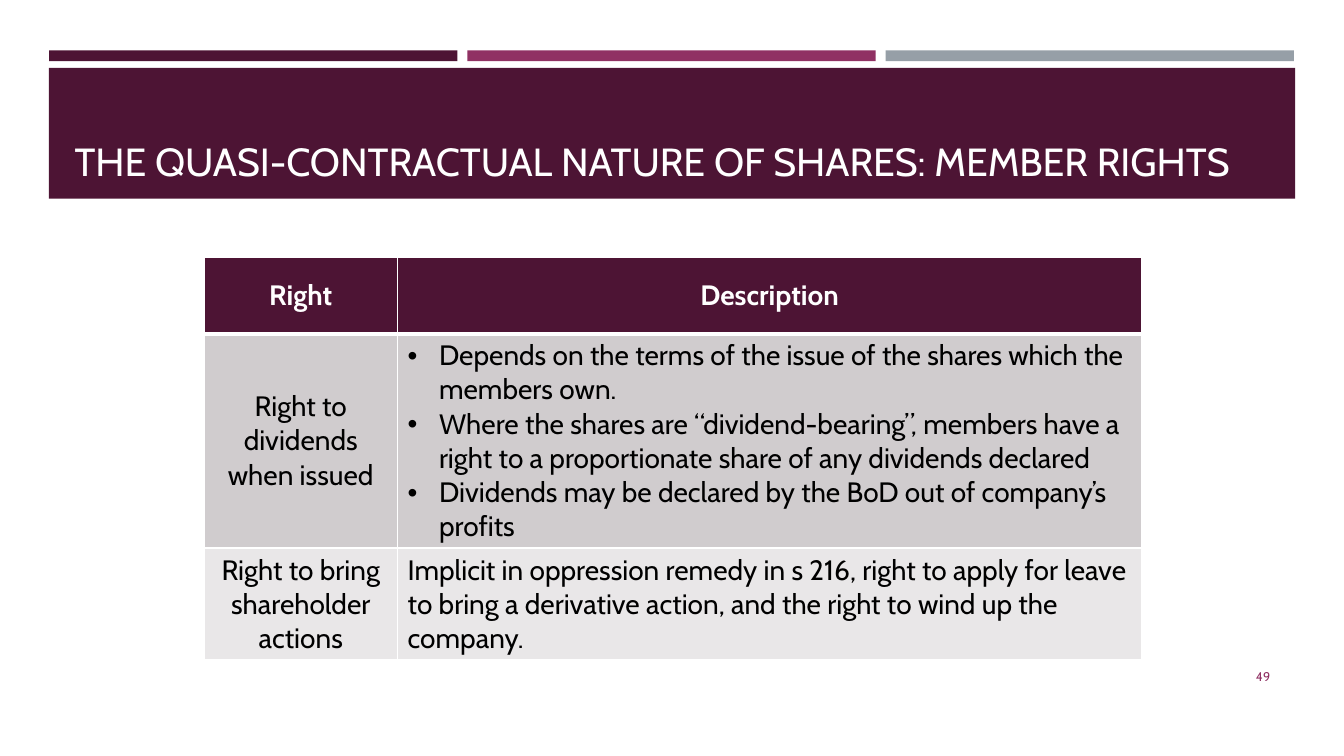
"""Build a slide with a table of member rights attached to shares."""
from dataclasses import dataclass

from lxml import etree
from pptx import Presentation
from pptx import util as u
from pptx.dml.color import RGBColor
from pptx.enum import shapes, text
from pptx.oxml import ns

FONT = "Cabin"
PLUM = RGBColor(0x4D, 0x14, 0x34)
MAGENTA = RGBColor(0x90, 0x31, 0x63)
GREY = RGBColor(0x96, 0x9F, 0xA7)
DARK_BAND = RGBColor(0xD0, 0xCC, 0xCE)
LIGHT_BAND = RGBColor(0xE9, 0xE7, 0xE8)
WHITE = RGBColor(0xFF, 0xFF, 0xFF)
BLACK = RGBColor(0x00, 0x00, 0x00)

LEFT, CENTER, RIGHT = text.PP_ALIGN.LEFT, text.PP_ALIGN.CENTER, text.PP_ALIGN.RIGHT
MIDDLE, BOTTOM = text.MSO_ANCHOR.MIDDLE, text.MSO_ANCHOR.BOTTOM


@dataclass(frozen=True)
class Box:
    """A position and size in centimetres."""
    left: float
    top: float
    width: float
    height: float

    def lengths(self) -> tuple:
        """Return the four values as lengths."""
        return u.Cm(self.left), u.Cm(self.top), u.Cm(self.width), u.Cm(self.height)


@dataclass(frozen=True)
class Style:
    """The look of a run of text and its paragraph."""
    size: float
    color: RGBColor
    alignment: text.PP_ALIGN = LEFT
    bold: bool = False


@dataclass(frozen=True)
class RightRow:
    """One table row: the right and the paragraphs describing it."""
    right: str
    description: tuple[str, ...]
    height: float
    fill: RGBColor


BAR_BOX = Box(1.24, 1.27, 10.29, 0.27)
BAR_PITCH = 10.54
BAND_BOX = Box(1.23, 1.71, 31.41, 3.3)
TITLE_BOX = Box(1.63, 1.96, 30.63, 2.82)
NUMBER_BOX = Box(29.34, 16.54, 2.92, 1.02)
TABLE_BOX = Box(5.14, 6.48, 23.63, 10.15)
COLUMN_WIDTHS = (4.88, 18.75)
BULLET_INDENT = u.Cm(0.79)

ROWS = (
    RightRow("Right", ("Description",), 1.93, PLUM),
    RightRow("Right to dividends when issued", (
        "Depends on the terms of the issue of the shares which the members own.",
        "Where the shares are “dividend-bearing”, members have a right to a "
        "proportionate share of any dividends declared",
        "Dividends may be declared by the BoD out of company’s profits",
    ), 5.4, DARK_BAND),
    RightRow("Right to bring shareholder actions", (
        "Implicit in oppression remedy in s 216, right to apply for leave to bring "
        "a derivative action, and the right to wind up the company.",
    ), 2.82, LIGHT_BAND),
)


def add_rectangle(slide, box: Box, color: RGBColor) -> None:
    """Draw a plain filled rectangle."""
    shape = slide.shapes.add_shape(shapes.MSO_SHAPE.RECTANGLE, *box.lengths())
    shape.shadow.inherit = False
    shape.fill.solid()
    shape.fill.fore_color.rgb = color
    shape.line.fill.background()


def add_bullet(paragraph) -> None:
    """Give a paragraph a round bullet with a hanging indent."""
    properties = paragraph._p.get_or_add_pPr()
    properties.set("marL", str(BULLET_INDENT))
    properties.set("indent", str(-BULLET_INDENT))
    etree.SubElement(properties, ns.qn("a:buFont"), typeface="Arial")
    etree.SubElement(properties, ns.qn("a:buChar"), char="•")


def write(frame, lines: tuple[str, ...], style: Style) -> None:
    """Write paragraphs into a text frame, bulleted when there are several."""
    for index, line in enumerate(lines):
        paragraph = frame.add_paragraph() if index else frame.paragraphs[0]
        paragraph.alignment = style.alignment
        if len(lines) > 1:
            add_bullet(paragraph)
        run = paragraph.add_run()
        run.text = line
        run.font.name = FONT
        run.font.size = u.Pt(style.size)
        run.font.bold = style.bold
        run.font.color.rgb = style.color


def add_text(slide, box: Box, line: str, style: Style, anchor: text.MSO_ANCHOR) -> None:
    """Add a wrapped text box with a single line."""
    frame = slide.shapes.add_textbox(*box.lengths()).text_frame
    frame.word_wrap = True
    frame.vertical_anchor = anchor
    write(frame, (line,), style)


def add_borders(cell, top: float, bottom: float) -> None:
    """Put white borders round a cell, with top and bottom widths in points."""
    properties = cell._tc.get_or_add_tcPr()
    for side, width in (("L", 1), ("R", 1), ("T", top), ("B", bottom)):
        line = etree.SubElement(properties, ns.qn(f"a:ln{side}"), w=str(u.Pt(width)))
        fill = etree.SubElement(line, ns.qn("a:solidFill"))
        etree.SubElement(fill, ns.qn("a:srgbClr"), val=str(WHITE))


def add_rights_table(slide) -> None:
    """Draw the table of rights and descriptions."""
    table = slide.shapes.add_table(len(ROWS), len(COLUMN_WIDTHS), *TABLE_BOX.lengths()).table
    table.first_row = table.horz_banding = False
    for column, width in zip(table.columns, COLUMN_WIDTHS):
        column.width = u.Cm(width)
    for index, row in enumerate(ROWS):
        table.rows[index].height = u.Cm(row.height)
        header = index == 0
        color = WHITE if header else BLACK
        centered = Style(20, color, CENTER, header)
        description = centered if header else Style(20, color)
        contents = (((row.right,), centered), (row.description, description))
        for cell, (lines, style) in zip(table.rows[index].cells, contents):
            add_borders(cell, 3 if index == 1 else 1, 3 if header else 1)
            cell.fill.solid()
            cell.fill.fore_color.rgb = row.fill
            cell.vertical_anchor = MIDDLE
            write(cell.text_frame, lines, style)


def main() -> None:
    """Build and save the presentation."""
    presentation = Presentation()
    presentation.slide_width = u.Cm(33.87)
    presentation.slide_height = u.Cm(19.05)
    slide = presentation.slides.add_slide(presentation.slide_layouts[6])
    for index, color in enumerate((PLUM, MAGENTA, GREY)):
        left = BAR_BOX.left + index * BAR_PITCH
        add_rectangle(slide, Box(left, BAR_BOX.top, BAR_BOX.width, BAR_BOX.height), color)
    add_rectangle(slide, BAND_BOX, PLUM)
    add_text(slide, TITLE_BOX, "THE QUASI-CONTRACTUAL NATURE OF SHARES: MEMBER RIGHTS",
             Style(28, WHITE), BOTTOM)
    add_text(slide, NUMBER_BOX, "49", Style(9, MAGENTA, RIGHT), MIDDLE)
    add_rights_table(slide)
    presentation.save("out.pptx")


if __name__ == "__main__":
    main()
